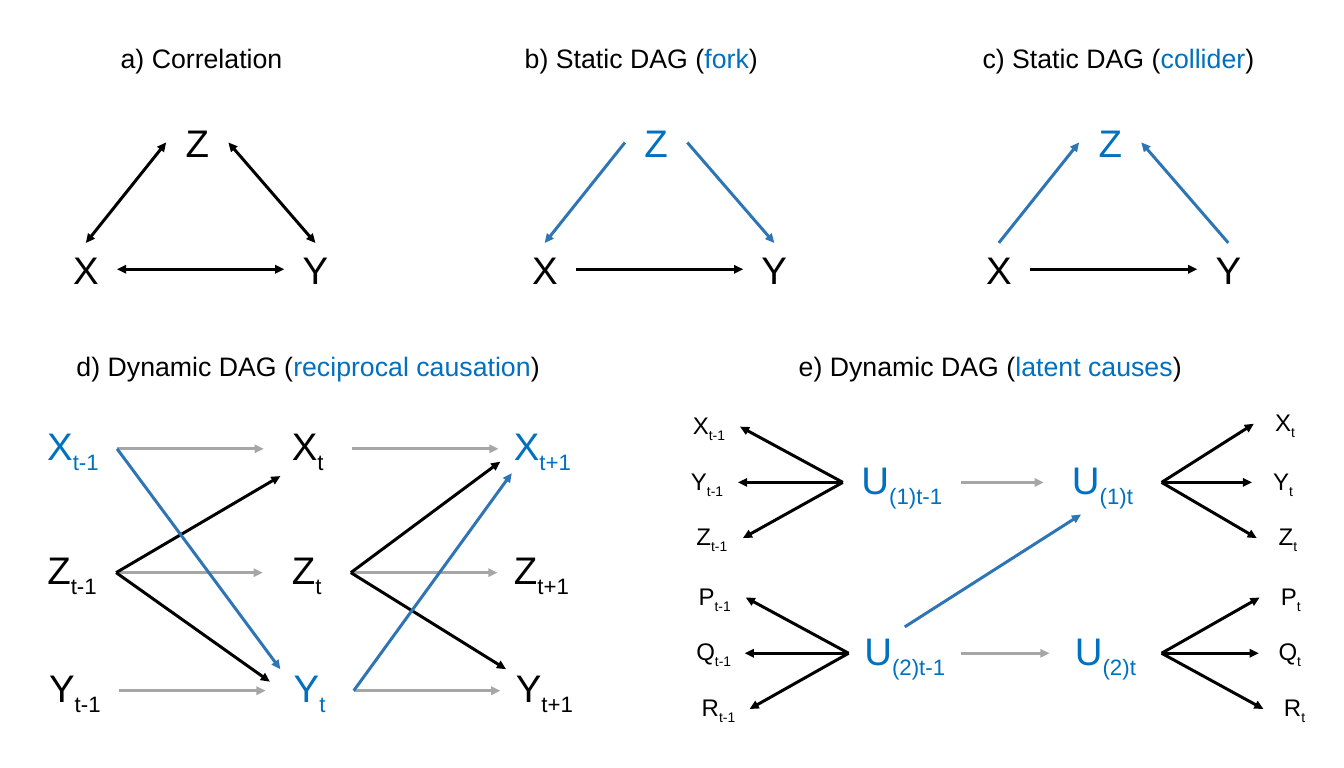
from lxml import etree
from pptx import Presentation
from pptx import util as u
from pptx.dml.color import RGBColor
from pptx.enum import shapes, text
from pptx.oxml.ns import qn

COLORS = {"black": "000000", "blue": "0070C0", "arrow_blue": "2E75B6",
          "gray": "A6A6A6", "white": "FFFFFF"}
TOP, LEFT, BOTTOM, RIGHT = range(4)

prs = Presentation()
prs.slide_width, prs.slide_height = u.Inches(14), u.Inches(8)
slide = prs.slides.add_slide(prs.slide_layouts[6])


def add_variable(x, y, width, letter, index="", color="black", size=28.8):
    variable = slide.shapes.add_shape(
        shapes.MSO_SHAPE.RECTANGLE, u.Inches(x), u.Inches(y), u.Inches(width), u.Inches(0.55))
    variable.shadow.inherit = False
    variable.fill.solid()
    variable.fill.fore_color.rgb = RGBColor.from_string(COLORS["white"])
    variable.line.fill.background()
    frame = variable.text_frame
    frame.word_wrap = True
    frame.vertical_anchor = text.MSO_ANCHOR.MIDDLE
    frame.margin_left = frame.margin_right = u.Inches(0.12)
    frame.margin_top = frame.margin_bottom = u.Inches(0.06)
    label = frame.paragraphs[0]
    label.alignment = text.PP_ALIGN.CENTER
    for part in filter(None, (letter, index)):
        run = label.add_run()
        run.text = part
        run.font.name, run.font.size = "Arial", u.Pt(size)
        run.font.color.rgb = RGBColor.from_string(COLORS[color])
        if part == index:
            run._r.get_or_add_rPr().set("baseline", "-25000")
    return variable


def add_arrow(cause, cause_side, effect, effect_side=None, color="black", double=False):
    end = (0, 0) if effect_side is not None else [u.Inches(v) for v in effect]
    arrow = slide.shapes.add_connector(shapes.MSO_CONNECTOR.STRAIGHT, 0, 0, *end)
    arrow.begin_connect(cause, cause_side)
    if effect_side is not None:
        arrow.end_connect(effect, effect_side)
    arrow.line.width = u.Pt(2.25)
    arrow.line.color.rgb = RGBColor.from_string(COLORS[color])
    outline = arrow.line._get_or_add_ln()
    for tip in ("a:headEnd", "a:tailEnd") if double else ("a:tailEnd",):
        etree.SubElement(outline, qn(tip)).set("type", "triangle")
    etree.SubElement(arrow._element.spPr, qn("a:effectLst"))


titles = [
    (0.77, 0.39, 2.66, "a) Correlation", ""),
    (5.02, 0.39, 3.32, "b) Static DAG (", "fork"),
    (9.75, 0.39, 3.8, "c) Static DAG (", "collider"),
    (0.41, 3.59, 5.6, "d) Dynamic DAG (", "reciprocal causation"),
    (7.16, 3.59, 6.31, "e) Dynamic DAG (", "latent causes"),
]
for x, y, width, lead, kind in titles:
    title = slide.shapes.add_textbox(u.Inches(x), u.Inches(y), u.Inches(width), u.Inches(0.44))
    title.text_frame.word_wrap = True
    title.text_frame.auto_size = text.MSO_AUTO_SIZE.SHAPE_TO_FIT_TEXT
    heading = title.text_frame.paragraphs[0]
    heading.alignment = text.PP_ALIGN.CENTER
    parts = [(lead, "black")]
    if kind:
        parts += [(kind, "blue"), (")", "black")]
    for words, color in parts:
        run = heading.add_run()
        run.text = words
        run.font.name, run.font.size = "Arial", u.Pt(20)
        run.font.color.rgb = RGBColor.from_string(COLORS[color])

for panel, x in (("correlation", 0.57), ("fork", 5.35), ("collider", 10.08)):
    both = panel == "correlation"
    z_color, z_arrow = ("black", "black") if both else ("blue", "arrow_blue")
    x_var = add_variable(x, 2.53, 0.65, "X")
    y_var = add_variable(x + 2.39, 2.53, 0.65, "Y")
    z_var = add_variable(x + 1.16, 1.21, 0.65, "Z", color=z_color)
    add_arrow(x_var, RIGHT, y_var, LEFT, double=both)
    for corner, z_side in ((x_var, LEFT), (y_var, RIGHT)):
        if panel == "fork":
            add_arrow(z_var, z_side, corner, TOP, z_arrow)
        else:
            add_arrow(corner, TOP, z_var, z_side, z_arrow, both)

dynamic = {}
times = ("t-1", "t", "t+1")
highlighted = {("X", "t-1"), ("Y", "t"), ("X", "t+1")}
for letter, x, y in (("X", 0.3, 4.4), ("Z", 0.29, 5.69), ("Y", 0.32, 6.92)):
    for step, time in enumerate(times):
        color = "blue" if (letter, time) in highlighted else "black"
        dynamic[letter, time] = add_variable(x + 2.445 * step, y, 0.92, letter, time, color)
    for now, later in zip(times, times[1:]):
        add_arrow(dynamic[letter, now], RIGHT, dynamic[letter, later], LEFT, "gray")

cross_effects = [
    ("Z", "t-1", (2.92, 4.96), "black"),
    ("Z", "t-1", (2.81, 7.1), "black"),
    ("Z", "t", (5.21, 4.81), "black"),
    ("Z", "t", (5.27, 6.97), "black"),
    ("X", "t-1", (2.92, 6.97), "arrow_blue"),
    ("Y", "t", (5.33, 4.93), "arrow_blue"),
]
for letter, time, target, color in cross_effects:
    add_arrow(dynamic[letter, time], RIGHT, target, color=color)

latent_groups = [
    ("(1)", 8.78, 1.23, 4.75, (("X", 7.06), ("Y", 7.04), ("Z", 7.09))),
    ("(2)", 8.84, 1.17, 6.53, (("P", 7.12), ("Q", 7.11), ("R", 7.16))),
]
for number, x, width, y, indicators in latent_groups:
    earlier = add_variable(x, y, width, "U", number + "t-1", "blue")
    later = add_variable(x + 2.09, y, width, "U", number + "t", "blue")
    add_arrow(earlier, RIGHT, later, LEFT, "gray")
    for row, (letter, left) in enumerate(indicators):
        row_y = y + 0.58 * (row - 1)
        past = add_variable(left, row_y, 0.65, letter, "t-1", size=18)
        present_y = 4.14 if letter == "X" else row_y
        present = add_variable(left + 6, present_y, 0.65, letter, "t", size=18)
        add_arrow(earlier, LEFT, past, RIGHT)
        add_arrow(later, RIGHT, present, LEFT)
add_arrow(earlier, TOP, (11.26, 5.36), color="arrow_blue")

prs.save("out.pptx")
